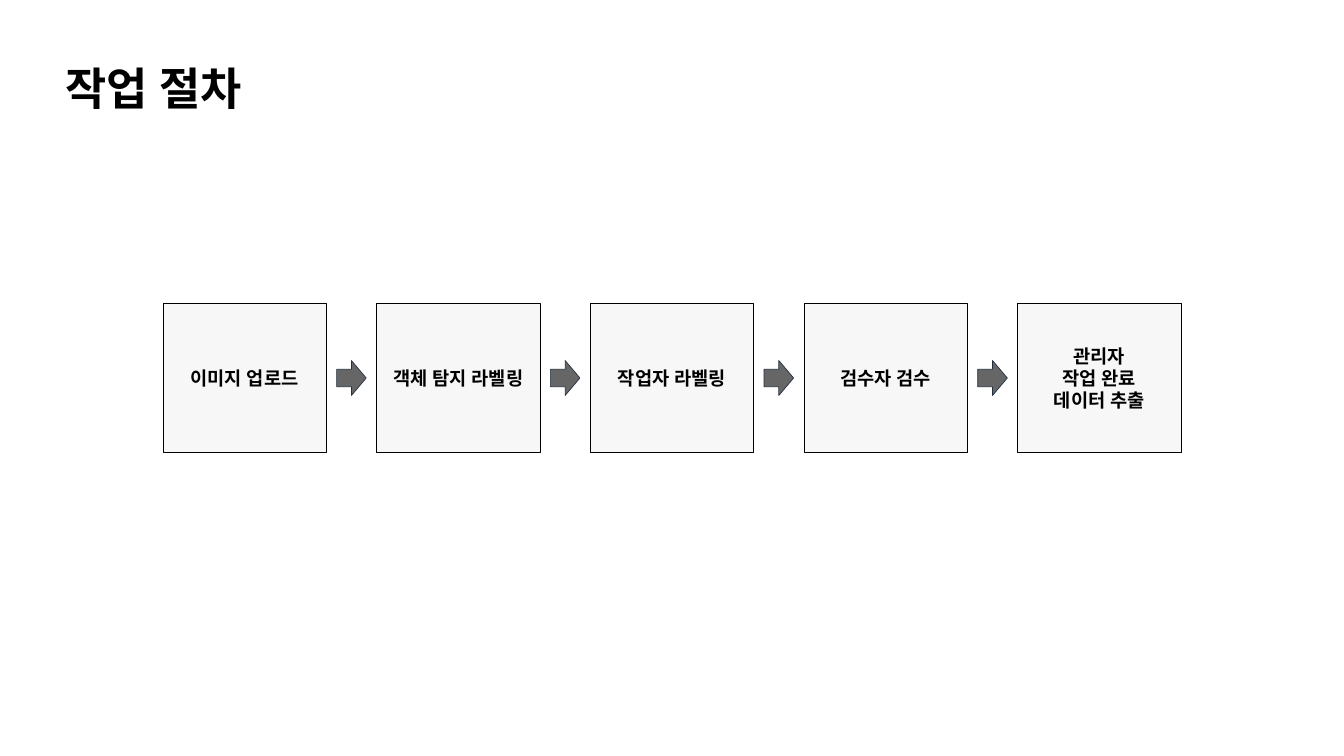
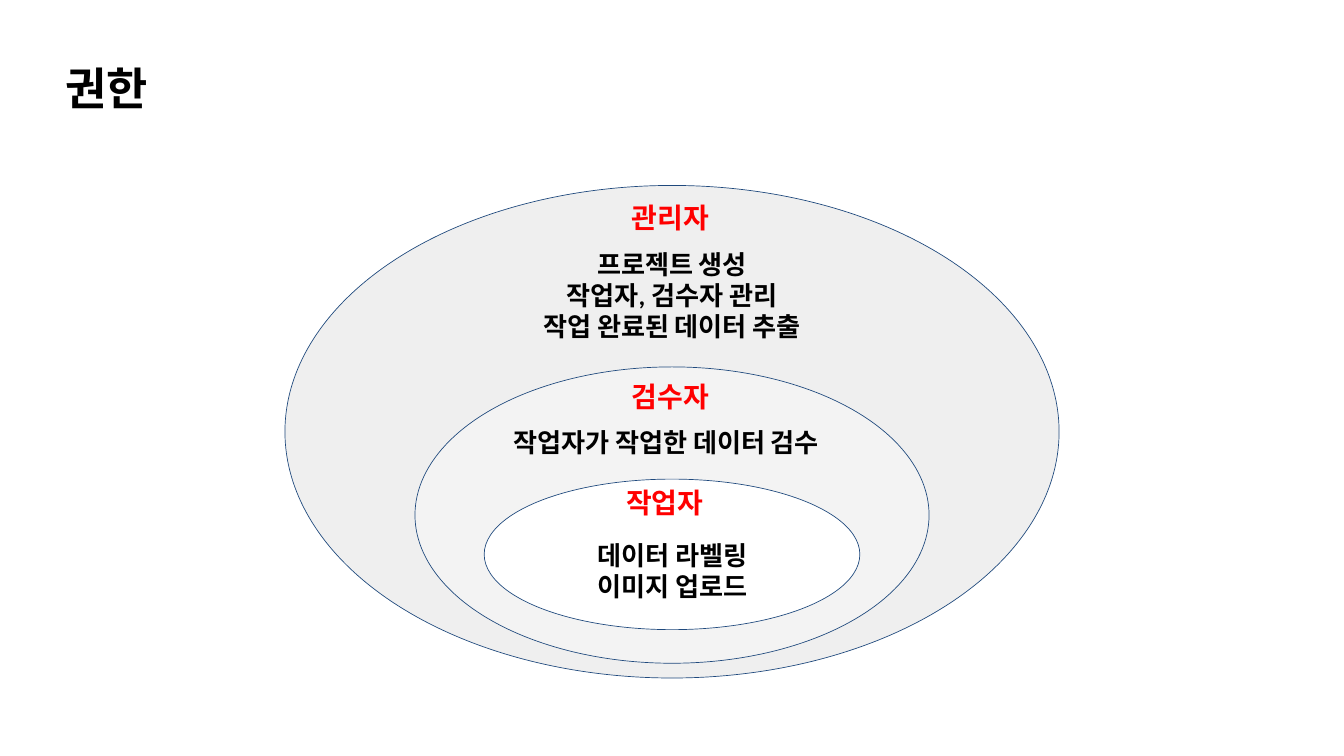
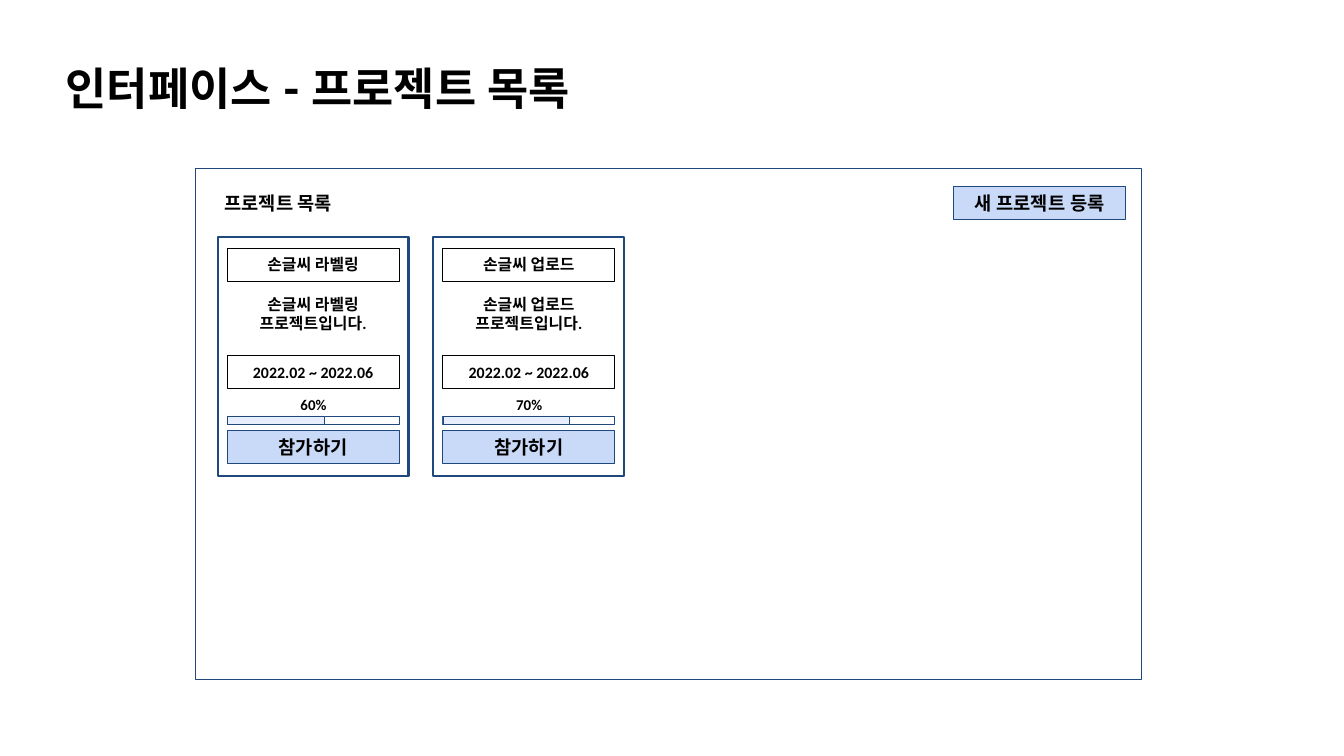
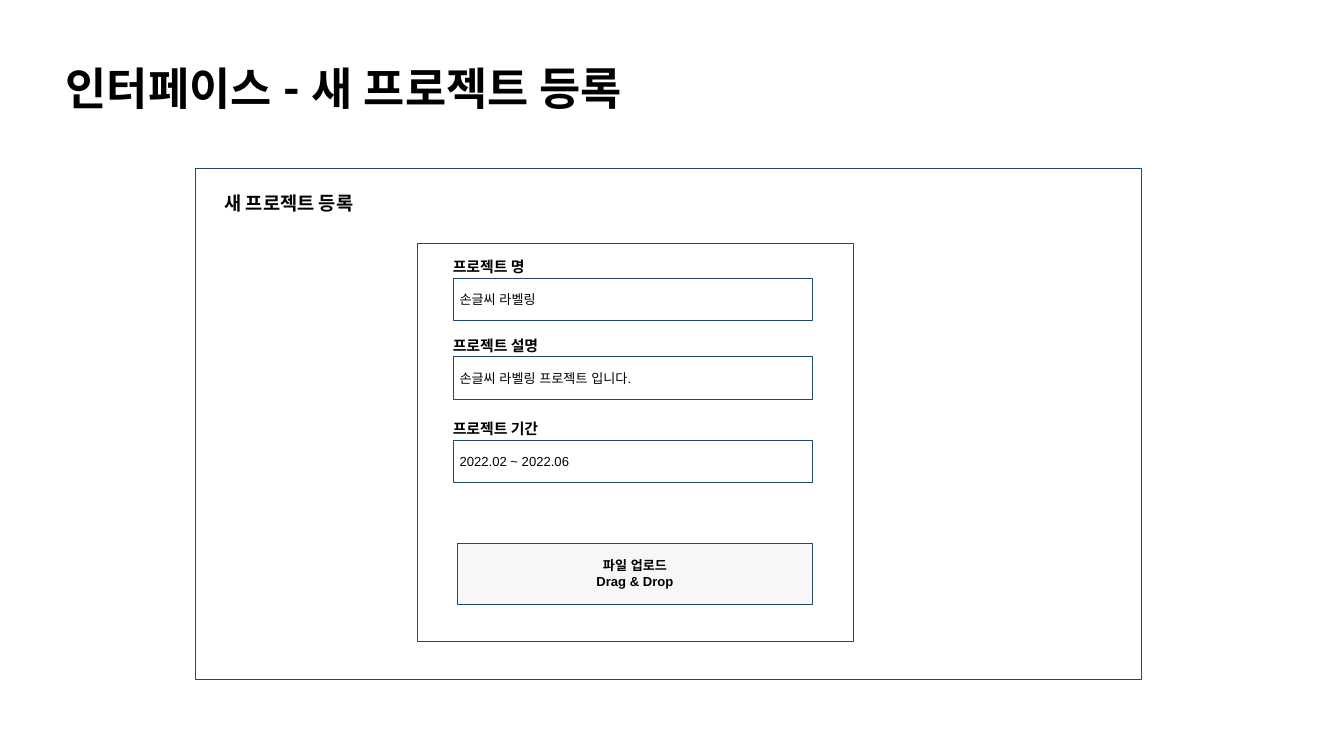
from lxml.etree import SubElement
from pptx import Presentation
from pptx.dml.color import RGBColor
from pptx.enum.shapes import MSO_SHAPE
from pptx.enum.text import MSO_ANCHOR, MSO_AUTO_SIZE, PP_ALIGN
from pptx.oxml.ns import qn
from pptx.util import Inches, Pt

WIDE, HIGH = 20, 11.25
HEX = {
    "ink": "000000", "paper": "FFFFFF", "navy": "1F497D", "dark": "232F3E",
    "mist": "EFEFEF", "pale": "F3F3F3", "gray": "666666",
    "red": "FF0000", "sky": "C9DAF8", "ice": "E7EEFF",
}
LEFT, MID = PP_ALIGN.LEFT, PP_ALIGN.CENTER

# Text styles: font values, alignment, and whether the box grows with its text
STYLES = {
    "title": ({"name": "Roboto", "size": Pt(48), "bold": True}, LEFT, True),
    "step": ({"name": "Roboto", "size": Pt(20), "bold": True}, MID, False),
    "role": ({"name": "Calibri", "size": Pt(30), "bold": True}, LEFT, True),
    "duty": ({"name": "Calibri", "size": Pt(28), "bold": True}, MID, True),
    "head": ({"name": "Calibri", "size": Pt(20), "bold": True}, LEFT, True),
    "card": ({"name": "Calibri", "size": Pt(17), "bold": True}, MID, True),
    "rate": ({"name": "Calibri", "size": Pt(16), "bold": True}, MID, True),
    "label": ({"name": "Calibri", "size": Pt(16), "bold": True}, LEFT, True),
    "button": ({"name": "Arial", "size": Pt(20), "bold": True}, MID, False),
    "field": ({"name": "Arial", "size": Pt(14), "bold": False}, LEFT, False),
    "drop": ({"name": "Arial", "size": Pt(14), "bold": True}, MID, False),
}

TITLES = ["작업 절차", "권한", "인터페이스 - 프로젝트 목록", "인터페이스 - 새 프로젝트 등록"]
STEPS = ["이미지 업로드", "객체 탐지 라벨링", "작업자 라벨링", "검수자 검수",
         "관리자\n작업 완료\n데이터 추출"]
# Oval top, width, height, fill; role and its place; duties and their place
ROLES = [
    (2.76, 11.52, 7.33, "mist", "관리자", (9.3, 2.89),
     "프로젝트 생성\n작업자, 검수자 관리\n작업 완료된 데이터 추출", (7.72, 3.59, 4.56, 1.62)),
    (5.46, 7.65, 4.41, "pale", "검수자", (9.3, 5.54),
     "작업자가 작업한 데이터 검수", (7.3, 6.25, 5.23, 0.67)),
    (7.13, 5.59, 2.24, "paper", "작업자", (9.22, 7.13),
     "데이터 라벨링\n이미지 업로드", (7.39, 7.92, 5.23, 1.14)),
]
DATES = "2022.02 ~ 2022.06"
# Name, rate, length of the filled bar
CARDS = [("손글씨 라벨링", "60%", 1.45), ("손글씨 업로드", "70%", 1.88)]
# Label, entry, top of the entry box
FIELDS = [("프로젝트 명", "손글씨 라벨링", 4.14),
          ("프로젝트 설명", "손글씨 라벨링 프로젝트 입니다.", 5.31),
          ("프로젝트 기간", DATES, 6.55)]


def tint(name):
    return RGBColor.from_string(HEX[name])


def write(item, text, style, color="ink", pad=0.1):
    font, align, grow = STYLES[style]
    frame = item.text_frame
    frame.word_wrap = True
    frame.margin_left = frame.margin_right = Inches(0.1)
    frame.margin_top = frame.margin_bottom = Inches(pad)
    frame.vertical_anchor = MSO_ANCHOR.TOP if grow else MSO_ANCHOR.MIDDLE
    frame.auto_size = MSO_AUTO_SIZE.SHAPE_TO_FIT_TEXT if grow else MSO_AUTO_SIZE.NONE
    frame.text = text
    for para in frame.paragraphs:
        para.alignment = align
        for run in para.runs:
            for key, value in font.items():
                setattr(run.font, key, value)
            run.font.color.rgb = tint(color)
            SubElement(run.font._element, qn("a:ea"), typeface=font["name"])


def note(slide, at, text, style, **more):
    write(slide.shapes.add_textbox(*map(Inches, at)), text, style, **more)


def box(slide, at, fill=None, line="navy", width=0.75, text="", style=None,
        kind=MSO_SHAPE.RECTANGLE, alpha=None):
    item = slide.shapes.add_shape(kind, *map(Inches, at))
    item.shadow.inherit = False
    if fill:
        item.fill.solid()
        item.fill.fore_color.rgb = tint(fill)
    else:
        item.fill.background()
    if alpha:
        color = item._element.spPr.find(qn("a:solidFill"))[0]
        SubElement(color, qn("a:alpha"), val=str(alpha * 1000))
    item.line.color.rgb = tint(line)
    item.line.width = Pt(width)
    if text:
        write(item, text, style)


def window(slide, head):
    box(slide, (2.9, 2.51, 14.09, 7.6), "paper")
    note(slide, (3.24, 2.76, 7.15, 0.54), head, "head")


def flow(slide):
    wide, high, gap, top = 2.43, 2.21, 0.75, 4.52
    tip, tall = 0.44, 0.52
    count = len(STEPS)
    start = (WIDE - count * wide - (count - 1) * gap) / 2
    for i, step in enumerate(STEPS):
        x = start + i * (wide + gap)
        box(slide, (x, top, wide, high), "mist", "ink", text=step, style="step", alpha=49)
        if i < count - 1:
            at = (x + wide + (gap - tip) / 2, top + (high - tall) / 2, tip, tall)
            box(slide, at, "gray", "dark", kind=MSO_SHAPE.RIGHT_ARROW)


def rights(slide):
    for top, wide, high, fill, *_ in ROLES:
        box(slide, ((WIDE - wide) / 2, top, wide, high), fill, kind=MSO_SHAPE.OVAL)
    for *_, role, spot, duty, area in ROLES:
        note(slide, (*spot, 1.59, 0.71), role, "role", color="red")
        note(slide, area, duty, "duty")


def listing(slide):
    window(slide, "프로젝트 목록")
    wide, row = 2.56, 0.49
    for i, (name, rate, done) in enumerate(CARDS):
        x = 3.24 + i * 3.21
        inner = x + 0.14
        box(slide, (x, 3.53, 2.84, 3.56), "paper", width=2.25)
        for top, text in ((3.69, name), (5.29, DATES)):
            box(slide, (inner, top, wide, row), line="ink", text=text, style="card")
        box(slide, (inner, 6.41, wide, row), "sky", text="참가하기", style="button")
        note(slide, (inner + 0.42, 5.78, 1.73, 0.47), rate, "rate")
        for size, fill in ((wide, "paper"), (done, "ice")):
            box(slide, (inner, 6.19, size, 0.12), fill)
        box(slide, (inner, 4.29, wide, 0.77), line="paper",
            text=f"{name} 프로젝트입니다.", style="card")
    box(slide, (14.19, 2.78, wide, row), "sky", text="새 프로젝트 등록", style="button")


def form(slide):
    window(slide, "새 프로젝트 등록")
    box(slide, (6.21, 3.62, 6.49, 5.93), "paper")
    for label, entry, top in FIELDS:
        box(slide, (6.74, top, 5.35, 0.63), "paper", text=entry, style="field")
        note(slide, (6.64, top - 0.4, 7.15, 0.47), label, "label")
    box(slide, (6.81, 8.08, 5.28, 0.91), "mist", text="파일 업로드\nDrag & Drop",
        style="drop", alpha=49)


def main():
    deck = Presentation()
    deck.slide_width, deck.slide_height = Inches(WIDE), Inches(HIGH)
    for title, draw in zip(TITLES, (flow, rights, listing, form)):
        slide = deck.slides.add_slide(deck.slide_layouts[6])
        note(slide, (0.88, 0.85, 10.08, 0.91), title, "title", pad=0.05)
        draw(slide)
    deck.save("out.pptx")


if __name__ == "__main__":
    main()
